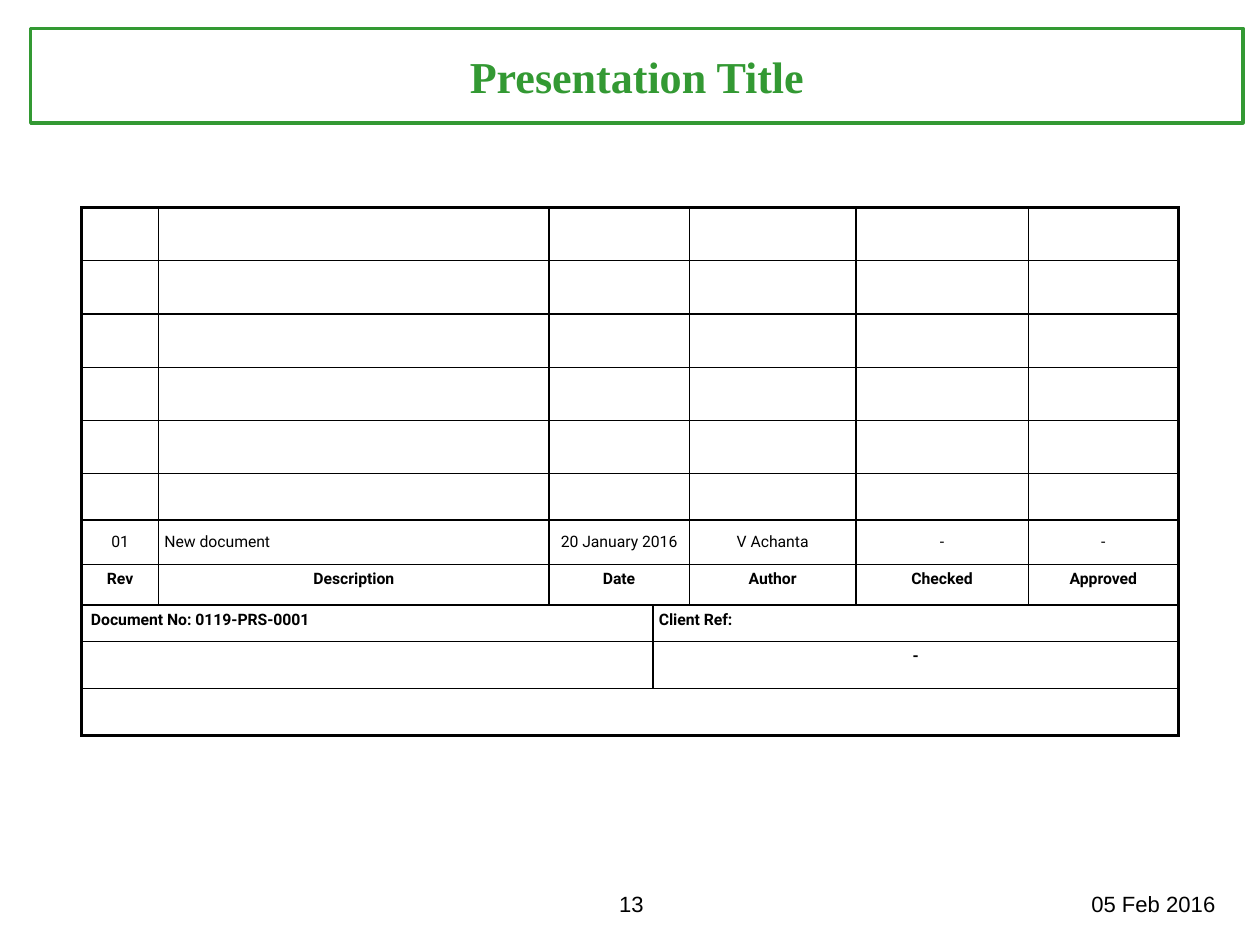
from lxml import etree
from pptx import Presentation
from pptx.dml import color
from pptx.enum import text
from pptx.oxml import ns
from pptx.util import Pt

BLACK, GREEN = "000000", "339933"
THIN, THICK = 1, 2.25
LEFT, CENTER = text.PP_ALIGN.LEFT, text.PP_ALIGN.CENTER
COLUMN_WIDTHS = [49, 247.7, 66.2, 23, 105.8, 109.4, 95.4]
ROW_HEIGHTS = [33.8] * 5 + [29.5, 28.1, 25.9, 23, 30, 30]
REVISION_ROW, HEADING_ROW, REFERENCE_ROW, VALUE_ROW, LAST_ROW = range(6, 11)
TEXT_COLUMNS = [0, 1, 2, 4, 5, 6]
REVISION = ["01", "New document", "20 January 2016", "V Achanta", "-", "-"]
HEADINGS = ["Rev", "Description", "Date", "Author", "Checked", "Approved"]


def rgb(value):
    """Turn a hex string into a colour."""
    return color.RGBColor.from_string(value)


def format_text(para, name, size, shade, bold=False, align=LEFT):
    """Format every run of a paragraph."""
    para.alignment = align
    for span in para.runs:
        span.font.name = name
        span.font.size = Pt(size)
        span.font.bold = bold
        span.font.color.rgb = rgb(shade)


def add_title(page, words):
    """Place the framed slide title."""
    title = page.shapes.title
    title.left, title.top, title.width, title.height = Pt(19.5), Pt(18), Pt(769.7), Pt(60)
    title.line.color.rgb = rgb(GREEN)
    title.line.width = Pt(THICK)
    frame = title.text_frame
    frame.text = words
    frame.vertical_anchor = text.MSO_ANCHOR.MIDDLE
    format_text(frame.paragraphs[0], "Times New Roman", 28, GREEN, True, CENTER)


def add_label(page, words, left, width, height, align):
    """Add a footer label."""
    box = page.shapes.add_textbox(Pt(left), Pt(561.6), Pt(width), Pt(height))
    box.text_frame.word_wrap = True
    box.text_frame.text = words
    format_text(box.text_frame.paragraphs[0], "Arial", 14, BLACK, align=align)


def add_border(cell, side, width):
    """Draw one side of a cell."""
    properties = cell._tc.get_or_add_tcPr()
    line = etree.SubElement(properties, ns.qn(f"a:ln{side}"), w=str(Pt(width)))
    fill = etree.SubElement(line, ns.qn("a:solidFill"))
    etree.SubElement(fill, ns.qn("a:srgbClr"), val=BLACK)


def outline_cell(cell, row, column):
    """Border a cell, thicker along the edge of the table."""
    end = column + (cell.span_width if cell.is_merge_origin else 1)
    last = end == len(COLUMN_WIDTHS)
    if not cell.is_spanned:
        add_border(cell, "L", THIN if column else THICK)
    if last or not cell.is_spanned:
        add_border(cell, "R", THICK if last else THIN)
    add_border(cell, "T", THIN if row else THICK)
    add_border(cell, "B", THICK if row == LAST_ROW else THIN)
    cell.fill.background()


def fill_cell(cell, words, bold=True, align=CENTER, indent=3.6):
    """Write formatted text in a cell."""
    cell.text = words
    cell.margin_left = Pt(indent)
    cell.margin_right = cell.margin_top = cell.margin_bottom = Pt(3.6)
    format_text(cell.text_frame.paragraphs[0], "Roboto", 10, BLACK, bold, align)


def add_revision_table(page):
    """Add the document revision table."""
    frame = page.shapes.add_table(
        len(ROW_HEIGHTS), len(COLUMN_WIDTHS), Pt(51.8), Pt(131.8),
        Pt(sum(COLUMN_WIDTHS)), Pt(sum(ROW_HEIGHTS)))
    table = frame.table
    table.first_row = table.horz_banding = False
    for column, width in zip(table.columns, COLUMN_WIDTHS):
        column.width = Pt(width)
    for row, height in zip(table.rows, ROW_HEIGHTS):
        row.height = Pt(height)

    for row in range(REFERENCE_ROW):
        table.cell(row, 2).merge(table.cell(row, 3))
    for row in (REFERENCE_ROW, VALUE_ROW):
        table.cell(row, 0).merge(table.cell(row, 2))
        table.cell(row, 3).merge(table.cell(row, 6))
    table.cell(LAST_ROW, 0).merge(table.cell(LAST_ROW, 6))

    for row in range(len(ROW_HEIGHTS)):
        for column in range(len(COLUMN_WIDTHS)):
            outline_cell(table.cell(row, column), row, column)

    for column, entry, heading in zip(TEXT_COLUMNS, REVISION, HEADINGS):
        cell = table.cell(REVISION_ROW, column)
        fill_cell(cell, entry, False, LEFT if heading == "Description" else CENTER)
        cell.vertical_anchor = text.MSO_ANCHOR.MIDDLE
        fill_cell(table.cell(HEADING_ROW, column), heading)
    fill_cell(table.cell(REFERENCE_ROW, 0), "Document No: 0119-PRS-0001", align=LEFT, indent=6)
    fill_cell(table.cell(REFERENCE_ROW, 3), "Client Ref:", align=LEFT)
    fill_cell(table.cell(VALUE_ROW, 3), "-")


def main():
    """Build and save the slide."""
    deck = Presentation()
    deck.slide_width, deck.slide_height = Pt(800), Pt(600)
    page = deck.slides.add_slide(deck.slide_layouts.get_by_name("Title Only"))
    add_label(page, "05 Feb 2016", 664.6, 135.4, 18, CENTER)
    add_label(page, "13", 386, 33, 24.5, LEFT)
    add_title(page, "Presentation Title")
    add_revision_table(page)
    deck.save("out.pptx")


if __name__ == "__main__":
    main()
